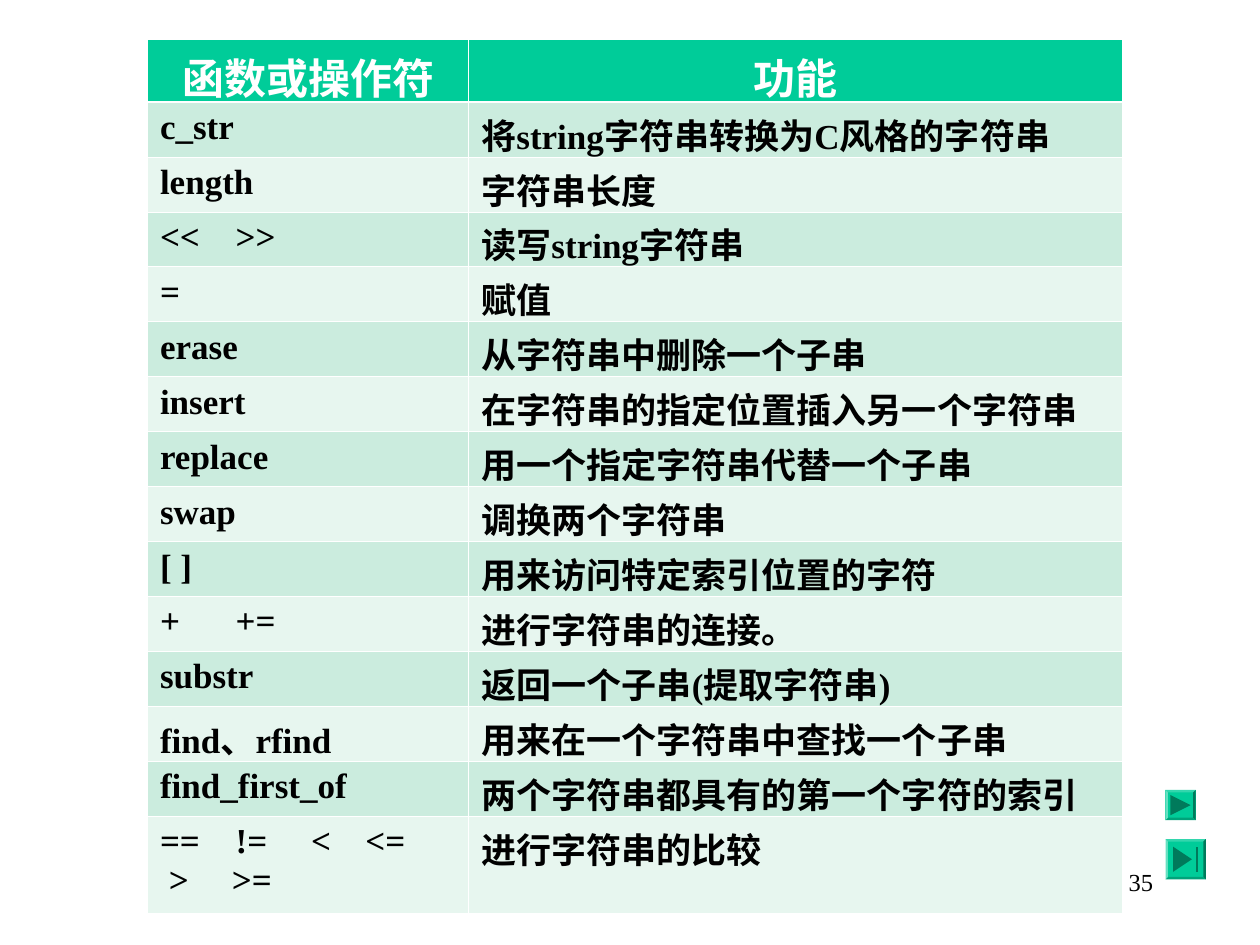
from dataclasses import dataclass
from typing import NamedTuple

from lxml.etree import SubElement
from pptx import Presentation
from pptx.dml.color import RGBColor as RGB
from pptx.enum.text import PP_ALIGN as Align
from pptx.oxml.ns import qn
from pptx.util import Inches, Pt


@dataclass(frozen=True)
class Theme:
    font: str = "Times New Roman"
    accent: RGB = RGB(0x00, 0xCC, 0x99)
    bands: tuple = (RGB(0xCB, 0xEC, 0xDE), RGB(0xE7, 0xF6, 0xEF))
    white: RGB = RGB(0xFF, 0xFF, 0xFF)
    black: RGB = RGB(0, 0, 0)
    head_size: int = 24
    body_size: int = 20
    number_size: int = 14
    thin: float = 0.45
    thick: float = 1.47


class Line(NamedTuple):
    text: str
    tabs: tuple = ()
    indent: float = 0


class Entry(NamedTuple):
    lines: tuple
    purpose: str


class Button(NamedTuple):
    left: float
    top: float
    side: float
    icon: tuple


T = Theme()
STOPS = (0.6, 1.2, 1.63)
HEADER = ("函数或操作符", "功能")
ENTRIES = (
    Entry((Line("c_str"),), "将string字符串转换为C风格的字符串"),
    Entry((Line("length"),), "字符串长度"),
    Entry((Line("<<\t>>", STOPS),), "读写string字符串"),
    Entry((Line("="),), "赋值"),
    Entry((Line("erase"),), "从字符串中删除一个子串"),
    Entry((Line("insert"),), "在字符串的指定位置插入另一个字符串"),
    Entry((Line("replace"),), "用一个指定字符串代替一个子串"),
    Entry((Line("swap"),), "调换两个字符串"),
    Entry((Line("[ ]"),), "用来访问特定索引位置的字符"),
    Entry((Line("+\t+=", STOPS),), "进行字符串的连接。"),
    Entry((Line("substr"),), "返回一个子串(提取字符串)"),
    Entry((Line("find、rfind"),), "用来在一个字符串中查找一个子串"),
    Entry((Line("find_first_of"),), "两个字符串都具有的第一个字符的索引"),
    Entry((Line("==\t!=\t<\t<=", STOPS), Line(">\t>=", (0.51,), 0.07)),
          "进行字符串的比较"),
)
TABLE_HEIGHT, HEAD_HEIGHT, LAST_HEIGHT = 6.94, 0.5, 0.77
COLUMNS = (2.55, 5.19)
BEVEL = 0.02
BUTTONS = (
    Button(9.25, 6.27, 0.24, (((0.04, 0.04), (0.2, 0.12), (0.04, 0.2)),)),
    Button(9.25, 6.66, 0.32, (
        ((0.21, 0.16), (0.06, 0.26), (0.06, 0.06)),
        ((0.24, 0.06), (0.24, 0.26), (0.26, 0.26), (0.26, 0.06)),
    )),
)


def write(p, line: Line, size: int, color: RGB, bold=True, align=None) -> None:
    p.alignment = align
    pPr = p._p.get_or_add_pPr()
    if line.indent:
        pPr.set("marL", str(Inches(line.indent)))
        pPr.set("indent", "0")
    if line.tabs:
        tab_list = SubElement(pPr, qn("a:tabLst"))
        for stop in line.tabs:
            SubElement(tab_list, qn("a:tab"), pos=str(Inches(stop)), algn="l")
    r = p.add_run()
    r.text = line.text
    for name, value in dict(name=T.font, size=Pt(size), bold=bold).items():
        setattr(r.font, name, value)
    r.font.color.rgb = color


def set_borders(cell, top: float, bottom: float) -> None:
    """Put white lines around a cell, ahead of its fill."""
    tcPr = cell._tc.get_or_add_tcPr()
    widths = dict(lnL=T.thin, lnR=T.thin, lnT=top, lnB=bottom)
    for i, (side, width) in enumerate(widths.items()):
        ln = SubElement(tcPr, qn(f"a:{side}"), w=str(Pt(width)))
        fill = SubElement(ln, qn("a:solidFill"))
        SubElement(fill, qn("a:srgbClr"), val=str(T.white))
        tcPr.insert(i, ln)


def fill_cell(cell, lines, size, color, fill, align=None) -> None:
    cell.fill.solid()
    cell.fill.fore_color.rgb = fill
    tf = cell.text_frame
    for i, line in enumerate(lines):
        p = tf.paragraphs[0] if i == 0 else tf.add_paragraph()
        write(p, line, size, color, align=align)


def add_function_table(s) -> None:
    count = len(ENTRIES)
    table = s.shapes.add_table(count + 1, 2, Inches(1.17), Inches(0.31),
                               Inches(sum(COLUMNS)), Inches(TABLE_HEIGHT)).table
    for column, width in zip(table.columns, COLUMNS):
        column.width = Inches(width)
    row_height = (TABLE_HEIGHT - HEAD_HEIGHT - LAST_HEIGHT) / (count - 1)
    heights = (HEAD_HEIGHT, *[row_height] * (count - 1), LAST_HEIGHT)
    for row, height in zip(table.rows, heights):
        row.height = Inches(height)
    for col, title in enumerate(HEADER):
        cell = table.cell(0, col)
        fill_cell(cell, (Line(title),), T.head_size, T.white, T.accent, Align.CENTER)
        set_borders(cell, T.thin, T.thick)
    for i, entry in enumerate(ENTRIES):
        for col, lines in enumerate((entry.lines, (Line(entry.purpose),))):
            cell = table.cell(i + 1, col)
            fill_cell(cell, lines, T.body_size, T.black, T.bands[i % 2])
            set_borders(cell, T.thin if i else T.thick, T.thin)


def add_button(s, button: Button) -> None:
    """Draw a bevelled button as one outline with a shade for each part."""
    a, b = BEVEL, button.side - BEVEL
    n = button.side
    outer = ((0, 0), (n, 0), (n, n), (0, n))
    inner = ((a, a), (b, a), (b, b), (a, b))
    edges = [(outer[i], outer[j], inner[j], inner[i])
             for i, j in ((0, 1), (1, 2), (2, 3), (3, 0))]
    contours = [outer, *edges, *button.icon]
    shades = ["norm", "lightenLess", "darken", "darkenLess", "lighten",
              *["darken"] * len(button.icon)]

    builder = s.shapes.build_freeform(0, 0)
    for i, contour in enumerate(contours):
        points = [(Inches(x), Inches(y)) for x, y in contour]
        if i:
            builder.move_to(*points[0])
        builder.add_line_segments(points[1:], close=True)
    sp = builder.convert_to_shape(Inches(button.left), Inches(button.top))
    sp.shadow.inherit = False
    sp.fill.solid()
    sp.fill.fore_color.rgb = T.accent
    sp.line.fill.background()

    path = next(sp._element.iter(qn("a:path")))
    path_list, size = path.getparent(), dict(path.attrib)
    steps = list(path)
    path_list.remove(path)
    shade = iter(shades)
    for step in steps:
        if step.tag == qn("a:moveTo"):
            part = SubElement(path_list, qn("a:path"), {**size, "fill": next(shade)})
        part.append(step)


def add_slide_number(s) -> None:
    box = s.shapes.add_textbox(Inches(7.17), Inches(6.83), Inches(2.08), Inches(0.5))
    tf = box.text_frame
    tf.word_wrap = True
    write(tf.paragraphs[0], Line("35"), T.number_size, T.black, False, Align.RIGHT)


def main() -> None:
    prs = Presentation()
    prs.slide_width, prs.slide_height = Inches(10), Inches(7.5)
    s = prs.slides.add_slide(prs.slide_layouts[6])
    add_slide_number(s)
    add_function_table(s)
    for button in BUTTONS:
        add_button(s, button)
    prs.save("out.pptx")


if __name__ == "__main__":
    main()
